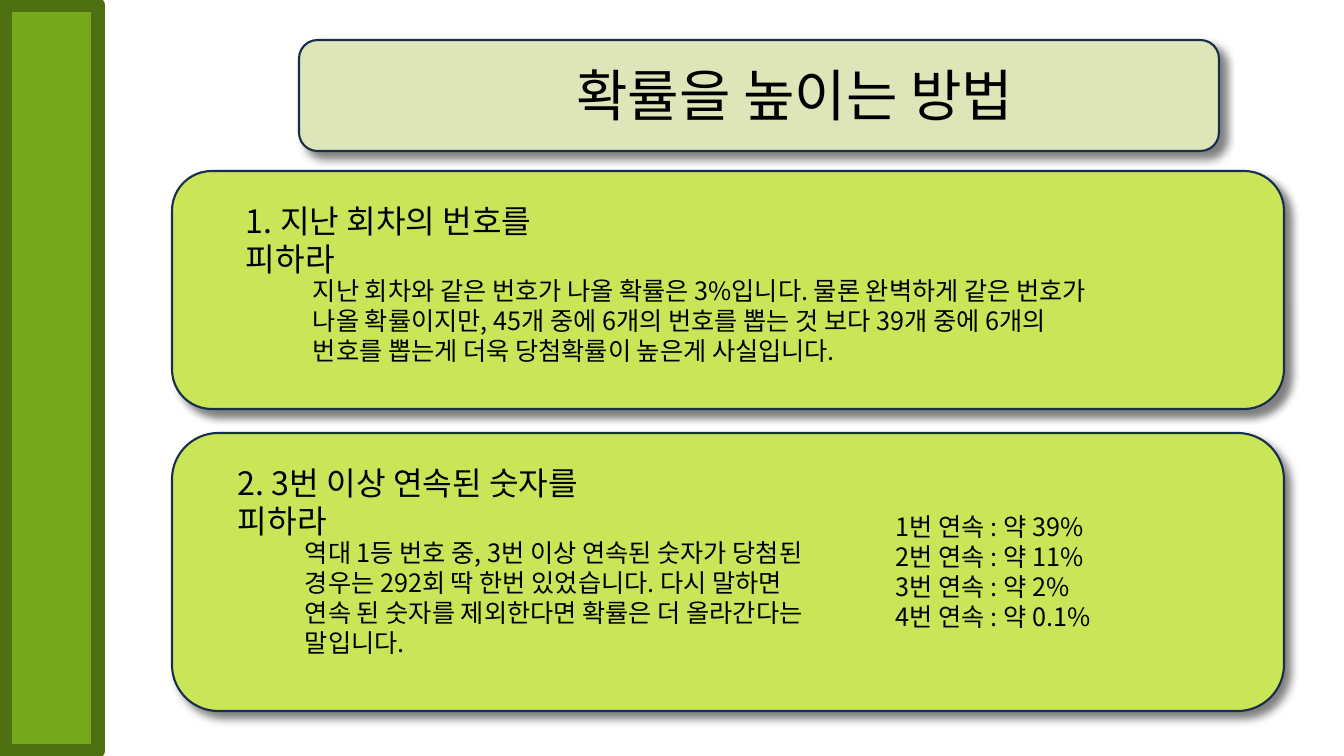
from lxml import etree
from pptx import Presentation
from pptx.dml.color import RGBColor
from pptx.enum.shapes import MSO_SHAPE
from pptx.enum.text import MSO_ANCHOR, MSO_AUTO_SIZE, PP_ALIGN
from pptx.oxml.ns import qn
from pptx.util import Emu, Pt

ROUNDED = MSO_SHAPE.FLOWCHART_ALTERNATE_PROCESS
RECTANGLE = MSO_SHAPE.RECTANGLE
TOP = MSO_ANCHOR.TOP
NO_FIT = MSO_AUTO_SIZE.NONE
LEFT, CENTER = PP_ALIGN.LEFT, PP_ALIGN.CENTER
EMU_PER_PX = 914400 / 100.8
CARD_LEFT, CARD_WIDTH = 172, 1112


def px(length):
    return Emu(round(length * EMU_PER_PX))


def color(value):
    return RGBColor.from_string(value)


def write_text(frame, lines, size=18, align=LEFT, font="Noto Sans CJK KR", ink="000000"):
    frame.word_wrap = True
    frame.auto_size = NO_FIT
    frame.vertical_anchor = TOP
    for index, line in enumerate(lines):
        paragraph = frame.paragraphs[0] if index == 0 else frame.add_paragraph()
        paragraph.alignment = align
        run = paragraph.add_run()
        run.text = line
        run.font.size = Pt(size)
        run.font.color.rgb = color(ink)
        run.font.name = font
        etree.SubElement(run.font._element, qn("a:ea"), typeface=font)


class SlideBuilder:
    """Draws the lottery slide in one green style."""

    card_fill = "CBE558"
    title_fill = "DDE5B9"
    outline = "182F4B"

    def __init__(self, presentation):
        self.slide = presentation.slides.add_slide(presentation.slide_layouts[5])

    def box(self, kind, left, top, width, height, fill, line, line_width):
        shape = self.slide.shapes.add_shape(kind, px(left), px(top), px(width), px(height))
        shape.shadow.inherit = False
        shape.fill.solid()
        shape.fill.fore_color.rgb = color(fill)
        shape.line.color.rgb = color(line)
        shape.line.width = Pt(line_width)
        return shape

    def panel(self, left, top, width, height, fill):
        shape = self.box(ROUNDED, left, top, width, height, fill, self.outline, 1.5)
        effects = shape._element.spPr.find(qn("a:effectLst"))
        shadow = etree.SubElement(effects, qn("a:outerShdw"), blurRad=str(Pt(6)),
                                  dist=str(Pt(6)), dir="2700000", algn="tl", rotWithShape="0")
        shade = etree.SubElement(shadow, qn("a:srgbClr"), val="000000")
        etree.SubElement(shade, qn("a:alpha"), val="50000")

    def text(self, left, top, width, height, lines, **style):
        shape = self.slide.shapes.add_textbox(px(left), px(top), px(width), px(height))
        write_text(shape.text_frame, lines, **style)

    def title(self, left, top, width, height, line):
        self.panel(299, 40, 920, 111, self.title_fill)
        title = self.slide.shapes.title
        title.left, title.top, title.width, title.height = map(px, (left, top, width, height))
        write_text(title.text_frame, [line], size=40, align=CENTER)
        self.slide.shapes._spTree.append(title._element)

    def card(self, top, height, indent, heading, heading_width, body, body_width, body_height):
        self.panel(CARD_LEFT, top, CARD_WIDTH, height, self.card_fill)
        left = CARD_LEFT + indent
        self.text(left, top + 25, heading_width, 48, [heading], size=23)
        self.text(left + 67, top + 99, body_width, body_height, body)


def main():
    presentation = Presentation()
    presentation.slide_width, presentation.slide_height = px(1344), px(756)
    builder = SlideBuilder(presentation)
    builder.title(505, 55, 580, 78, "확률을 높이는 방법")
    builder.card(171, 238, 64, "1. 지난 회차의 번호를 피하라", 386, [
        "지난 회차와 같은 번호가 나올 확률은 3%입니다. 물론 완벽하게 같은 번호가",
        "나올 확률이지만, 45개 중에 6개의 번호를 뽑는 것 보다 39개 중에 6개의",
        "번호를 뽑는게 더욱 당첨확률이 높은게 사실입니다.",
    ], 849, 100)
    builder.card(433, 278, 56, "2. 3번 이상 연속된 숫자를 피하라", 447, [
        "역대 1등 번호 중, 3번 이상 연속된 숫자가 당첨된 경우는 292회 딱 한번 있었습니다. "
        "다시 말하면 연속 된 숫자를 제외한다면 확률은 더 올라간다는 말입니다.",
    ], 519, 131)
    chances = ["39%", "11%", "2%", "0.1%"]
    builder.text(886, 506, 334, 130, [
        f"{count}번 연속 : 약 {chance}" for count, chance in enumerate(chances, 1)
    ])
    builder.box(RECTANGLE, 5, 5, 93, 746, "77A81C", "4F7012", 10)
    presentation.save("out.pptx")


if __name__ == "__main__":
    main()
